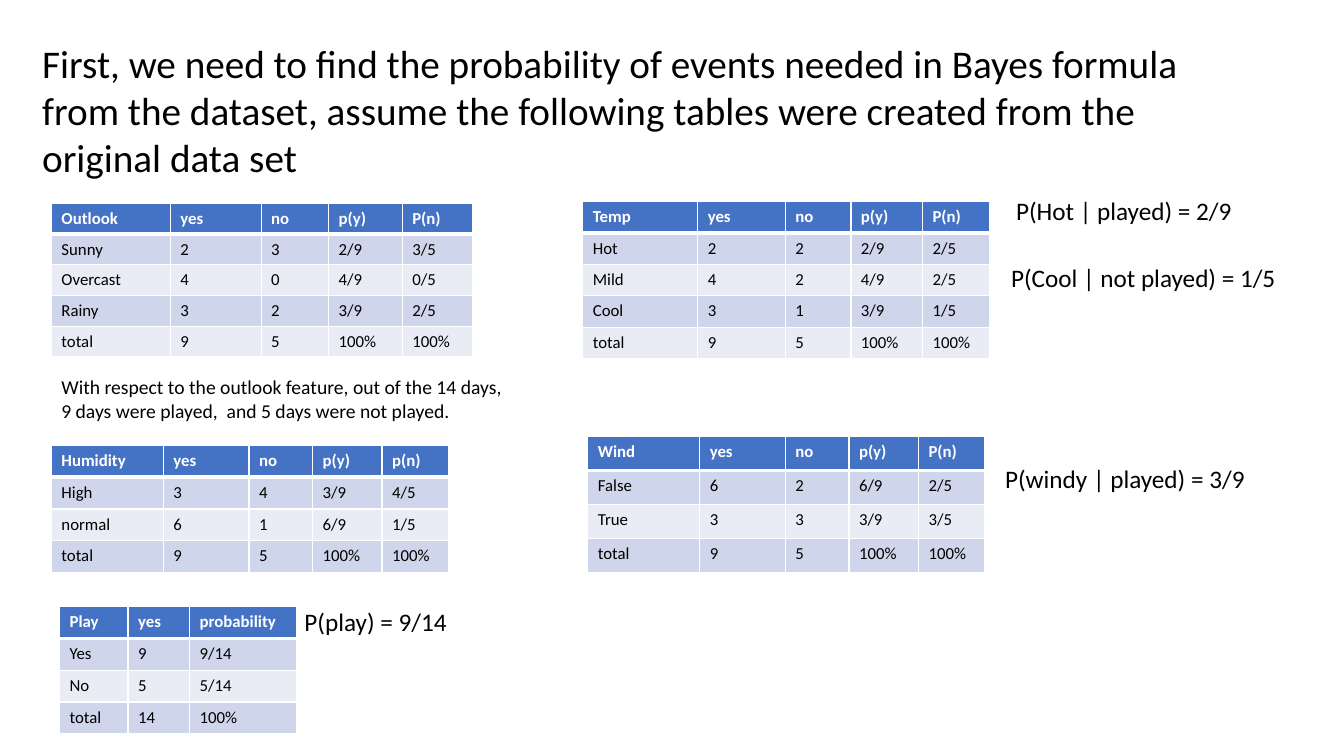
from lxml import etree
from pptx import Presentation
from pptx.dml.color import RGBColor
from pptx.enum import text
from pptx.oxml import ns
from pptx.util import Inches, Pt

BLACK = RGBColor(0x00, 0x00, 0x00)
WHITE = RGBColor(0xFF, 0xFF, 0xFF)
HEADER_BLUE = RGBColor(0x44, 0x72, 0xC4)
BANDS = (RGBColor(0xE9, 0xEB, 0xF5), RGBColor(0xCF, 0xD5, 0xEA))

WIDE = (1.11, 0.85, 0.63, 0.69, 0.66)
TOTAL = "total 9 5 100% 100%"
TABLES = [
    ((0.51, 2.02), 1.52, (1.18, 0.9, 0.67, 0.73, 0.7),
     ["Outlook yes no p(y) P(n)", "Sunny 2 3 2/9 3/5",
      "Overcast 4 0 4/9 0/5", "Rainy 3 2 3/9 2/5", TOTAL]),
    ((5.78, 2), 1.56, (1.14, 0.87, 0.65, 0.71, 0.67),
     ["Temp yes no p(y) P(n)", "Hot 2 2 2/9 2/5",
      "Mild 4 2 4/9 2/5", "Cool 3 1 3/9 1/5", TOTAL]),
    ((0.51, 4.42), 1.26, WIDE,
     ["Humidity yes no p(y) p(n)", "High 3 4 3/9 4/5",
      "normal 6 1 6/9 1/5", TOTAL]),
    ((5.83, 4.33), 1.35, WIDE,
     ["Wind yes no p(y) P(n)", "False 6 2 6/9 2/5",
      "True 3 3 3/9 3/5", TOTAL]),
    ((0.59, 6.02), 1.26, (0.68, 0.61, 1.06),
     ["Play yes probability", "Yes 9 9/14", "No 5 5/14", "total 14 100%"]),
]

HEADING = ("First, we need to find the probability of events needed in Bayes "
           "formula from the dataset, assume the following tables were "
           "created from the original data set")
OUTLOOK_REMARK = ("With respect to the outlook feature, out of the 14 days, "
                  "9 days were played,  and 5 days were not played.")
PROBABILITIES = [
    ("P(Hot | played) = 2/9", (9.98, 1.89, 2.37, 0.4)),
    ("P(Cool | not played) = 1/5", (9.93, 2.55, 2.86, 0.4)),
    ("P(windy | played) = 3/9", (9.87, 4.55, 2.61, 0.4)),
]


def write(paragraph, wording, size, color=BLACK, bold=False):
    """Put one formatted run into a paragraph."""
    run = paragraph.add_run()
    run.text = wording
    for key, value in {"name": "Calibri", "size": Pt(size), "bold": bold}.items():
        setattr(run.font, key, value)
    run.font.color.rgb = color


def add_label(slide, wording, box, size=18, wrap=False, inset=True):
    """Add a text box that grows with its text."""
    frame = slide.shapes.add_textbox(*map(Inches, box)).text_frame
    layout = {"word_wrap": wrap, "auto_size": text.MSO_AUTO_SIZE.SHAPE_TO_FIT_TEXT}
    if not inset:
        layout.update({f"margin_{side}": 0 for side in ("left", "top", "right", "bottom")})
    for key, value in layout.items():
        setattr(frame, key, value)
    write(frame.paragraphs[0], wording, size)


def set_borders(cell, row):
    """Draw white cell borders, thicker below the header row."""
    widths = {"L": 1, "R": 1, "T": 3 if row == 1 else 1, "B": 3 if row == 0 else 1}
    properties = cell._tc.get_or_add_tcPr()
    for side, width in widths.items():
        line = etree.SubElement(properties, ns.qn(f"a:ln{side}"), w=str(Pt(width)))
        fill = etree.SubElement(line, ns.qn("a:solidFill"))
        etree.SubElement(fill, ns.qn("a:srgbClr"), val=str(WHITE))


def add_frequency_table(slide, corner, height, widths, lines):
    """Add a banded table of counts and probabilities."""
    box = map(Inches, (*corner, sum(widths), height))
    table = slide.shapes.add_table(len(lines), len(widths), *box).table
    for column, width in zip(table.columns, widths):
        column.width = Inches(width)
    for r, line in enumerate(lines):
        table.rows[r].height = Inches(height / len(lines))
        header = r == 0
        for c, value in enumerate(line.split()):
            cell = table.cell(r, c)
            set_borders(cell, r)
            cell.fill.solid()
            cell.fill.fore_color.rgb = HEADER_BLUE if header else BANDS[r % 2]
            write(cell.text_frame.paragraphs[0], value, 12,
                  WHITE if header else BLACK, header)


def main():
    """Build the slide of Bayes probability tables."""
    deck = Presentation()
    deck.slide_width, deck.slide_height = Inches(13.33), Inches(7.5)
    slide = deck.slides.add_slide(deck.slide_layouts[6])
    add_label(slide, HEADING, (0.32, 0.34, 11.48, 1.51), size=28, wrap=True)
    for frequencies in TABLES:
        add_frequency_table(slide, *frequencies)
    add_label(slide, "P(play) = 9/14", (3.02, 6.02, 1.43, 0.3), inset=False)
    add_label(slide, OUTLOOK_REMARK, (0.51, 3.67, 4.71, 0.57), size=14, wrap=True)
    for wording, box in PROBABILITIES:
        add_label(slide, wording, box)
    deck.save("out.pptx")


if __name__ == "__main__":
    main()
